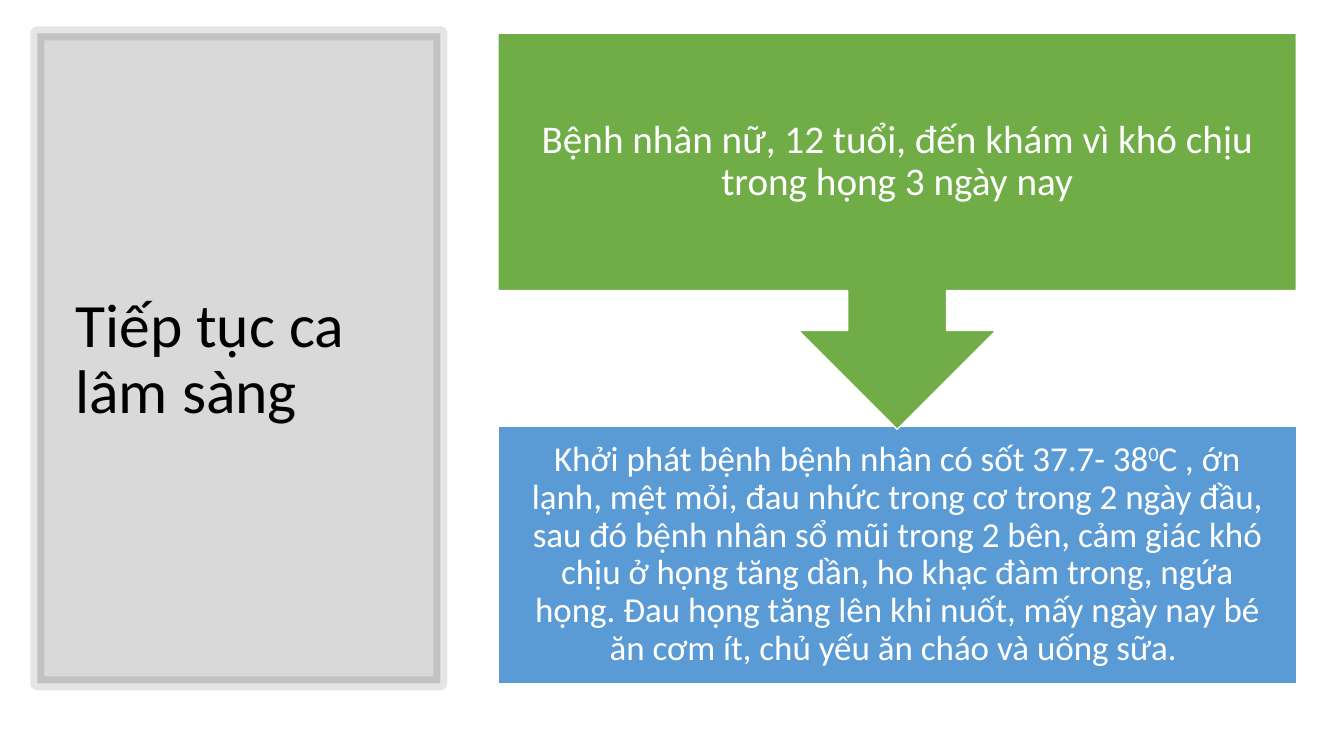
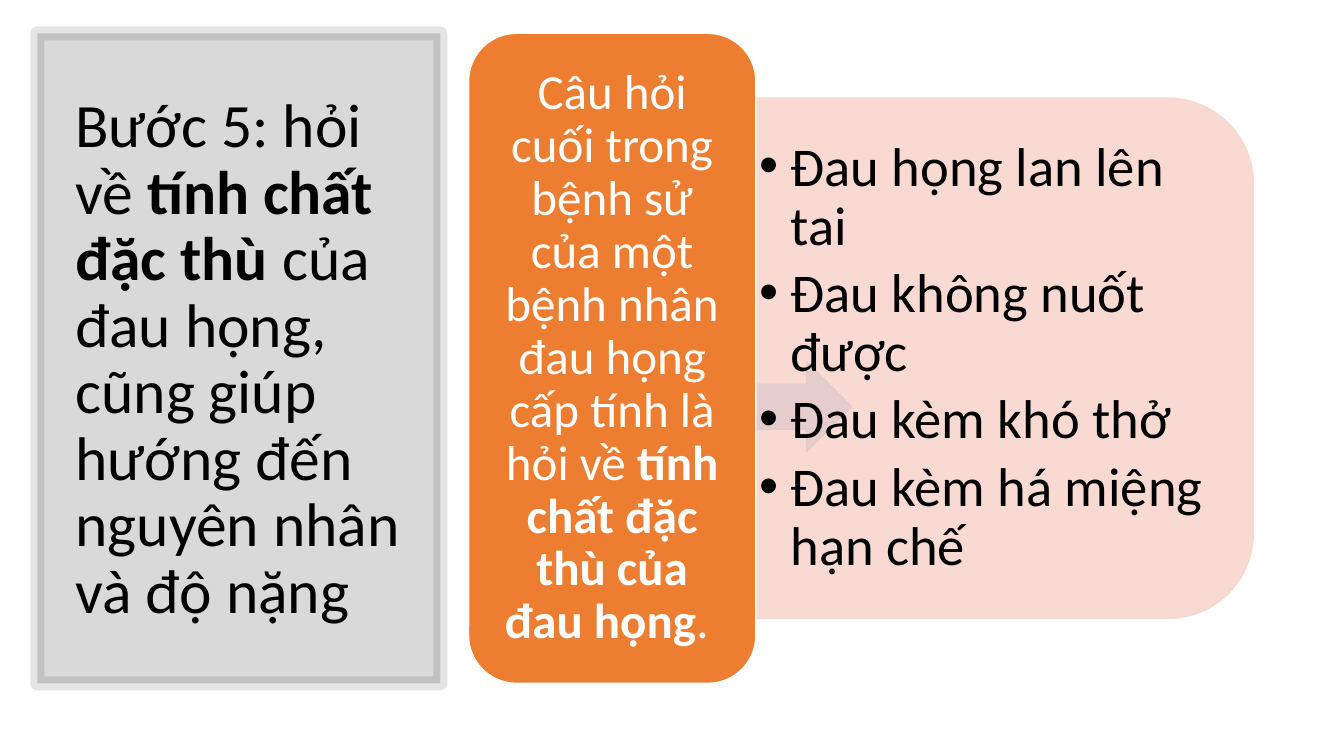
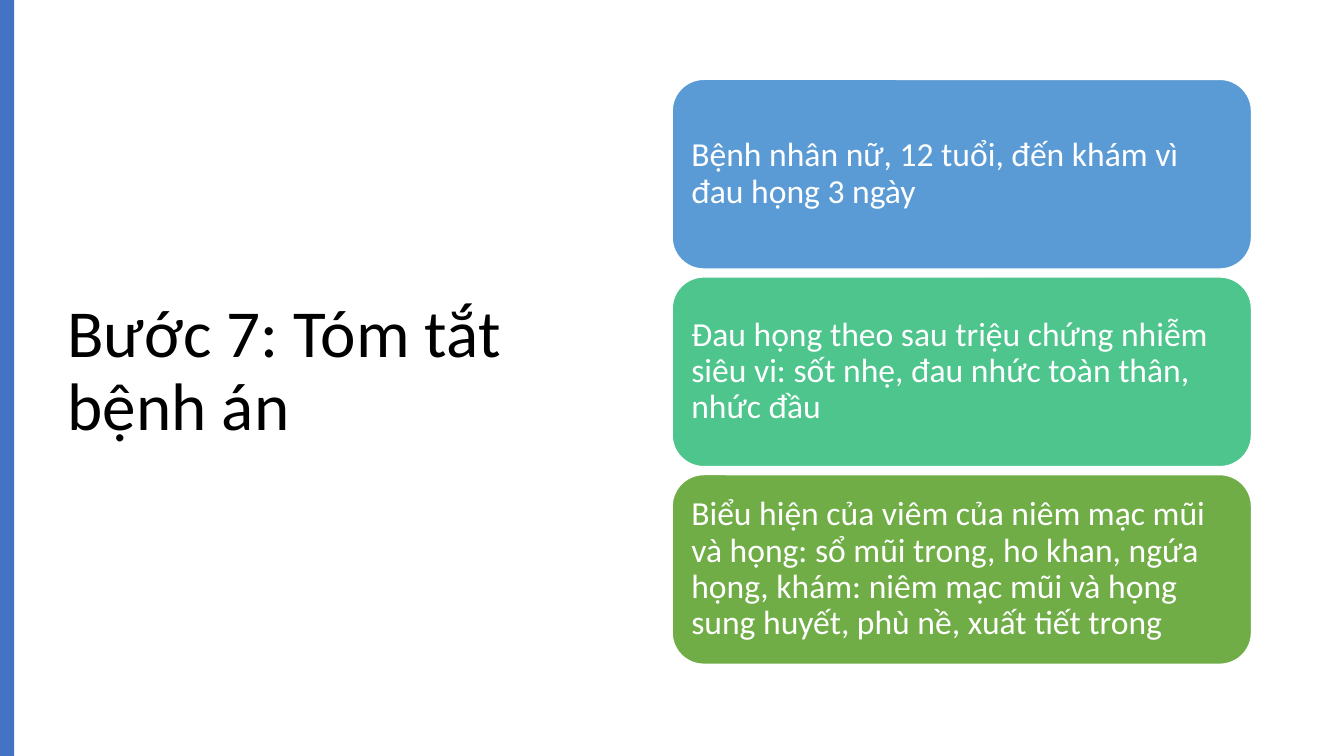
from lxml.etree import SubElement
from pptx import Presentation
from pptx.dml.color import RGBColor
from pptx.enum.shapes import MSO_SHAPE as Preset
from pptx.enum.text import MSO_ANCHOR as Anchor, MSO_AUTO_SIZE as AutoSize, PP_ALIGN as Align
from pptx.oxml.ns import qn
from pptx.util import Cm, Pt

FONT = "Calibri"
COLORS = {
    "black": "000000", "white": "FFFFFF", "green": "70AD47", "blue": "5B9BD5",
    "teal": "4DC58D", "orange": "ED7D31", "pink": "F8D7CE",
    "accent": "4472C4", "accent_dark": "325491",
}

# A paragraph is a list of (text, style) runs; style is "", "bold" or "super".
CASE_TITLE = [("Tiếp tục ca lâm sàng", "")]
CASE_COMPLAINT = [("Bệnh nhân nữ, 12 tuổi, đến khám vì khó chịu trong họng 3 ngày nay", "")]
CASE_HISTORY = [
    ("Khởi phát bệnh bệnh nhân có sốt 37.7- 38", ""),
    ("0", "super"),
    ("C , ớn lạnh, mệt mỏi, đau nhức trong cơ trong 2 ngày đầu, sau đó bệnh nhân sổ mũi "
     "trong 2 bên, cảm giác khó chịu ở họng tăng dần, ho khạc đàm trong, ngứa họng. Đau họng "
     "tăng lên khi nuốt, mấy ngày nay bé ăn cơm ít, chủ yếu ăn cháo và uống sữa. ", ""),
]
FEATURES_TITLE = [
    ("Bước 5: hỏi về ", ""),
    ("tính chất đặc thù ", "bold"),
    ("của đau họng, cũng giúp hướng đến nguyên nhân và độ nặng", ""),
]
FEATURES_QUESTION = [
    ("Câu hỏi cuối trong bệnh sử của một bệnh nhân đau họng cấp tính là hỏi về ", ""),
    ("tính chất đặc thù của đau họng", "bold"),
    (". ", ""),
]
FEATURES = [
    [("Đau họng lan lên tai", "")],
    [("Đau không nuốt được", "")],
    [("Đau kèm khó thở", "")],
    [("Đau kèm há miệng hạn chế", "")],
]
SUMMARY_TITLE = [("Bước 7: Tóm tắt bệnh án", "")]
SUMMARY_CARDS = [
    ("blue", "Bệnh nhân nữ, 12 tuổi, đến khám vì đau họng 3 ngày"),
    ("teal", "Đau họng theo sau triệu chứng nhiễm siêu vi: sốt nhẹ, đau nhức toàn thân, nhức đầu"),
    ("green", "Biểu hiện của viêm của niêm mạc mũi và họng: sổ mũi trong, ho khan, ngứa họng, "
              "khám: niêm mạc mũi và họng sung huyết, phù nề, xuất tiết trong"),
]

CONTENT_TOP, CONTENT_HEIGHT = 0.84, 16.38
PANEL_BOX = (0.94, CONTENT_TOP, 10.16, CONTENT_HEIGHT)
PANEL_TITLE_BOX = (1.65, 1.78, 8.79, 14.6)


def lengths(box):
    return [Cm(value) for value in box]


def rgb(name):
    return RGBColor.from_string(COLORS[name])


def paint(fill, color, opacity):
    fill.solid()
    fill.fore_color.rgb = rgb(color)
    if opacity < 100:
        for color_element in fill._xPr.iter(qn("a:srgbClr")):
            SubElement(color_element, qn("a:alpha"), val=str(opacity * 1000))


def add_preset(slide, preset, box, color, line="white", line_width=1,
               opacity=100, line_opacity=100):
    shape = slide.shapes.add_shape(preset, *lengths(box))
    shape.shadow.inherit = False
    paint(shape.fill, color, opacity)
    if line:
        shape.line.width = Pt(line_width)
        paint(shape.line.fill, line, line_opacity)
        for color_element in () if line_opacity == 100 else shape.line._ln.iter(qn("a:srgbClr")):
            if not len(color_element):
                SubElement(color_element, qn("a:alpha"), val=str(line_opacity * 1000))
    else:
        shape.line.fill.background()
    return shape


def add_bullet(paragraph, indent):
    properties = paragraph._p.get_or_add_pPr()
    properties.set("marL", str(Cm(indent)))
    properties.set("indent", str(-Cm(indent)))
    SubElement(properties, qn("a:buFont"), typeface="Arial")
    SubElement(properties, qn("a:buChar"), char="•")


def write(shape, paragraphs, size, color="white", align=Align.LEFT, inset=(0.25, 0.13),
          bullets=False, space_after=0):
    frame = shape.text_frame
    frame.word_wrap = True
    frame.auto_size = AutoSize.NONE
    frame.vertical_anchor = Anchor.MIDDLE
    frame.margin_left = frame.margin_right = Cm(inset[0])
    frame.margin_top = frame.margin_bottom = Cm(inset[1])
    for index, runs in enumerate(paragraphs):
        paragraph = frame.add_paragraph() if index else frame.paragraphs[0]
        paragraph.alignment = align
        paragraph.line_spacing = 0.9
        paragraph.space_after = Pt(space_after)
        if bullets:
            add_bullet(paragraph, 0.79)
        for text, style in runs:
            run = paragraph.add_run()
            run.text = text
            run.font.name = FONT
            run.font.size = Pt(size)
            run.font.bold = style == "bold"
            run.font.color.rgb = rgb(color)
            if style == "super":
                run._r.get_or_add_rPr().set("baseline", "30000")


def add_titled_slide(presentation, title, box, size):
    slide = presentation.slides.add_slide(presentation.slide_layouts[5])
    shape = slide.shapes.title
    shape.left, shape.top, shape.width, shape.height = lengths(box)
    write(shape, [title], size, color="black")
    return slide


def add_panel_slide(presentation, title):
    """Add a slide whose title stands on the grey framed panel."""
    slide = add_titled_slide(presentation, title, PANEL_TITLE_BOX, 44)
    panel = add_preset(slide, Preset.RECTANGLE, PANEL_BOX, "black", line="black",
                       line_width=10, opacity=15, line_opacity=10)
    slide.shapes.title._element.addprevious(panel._element)
    return slide


def build_case(presentation):
    slide = add_panel_slide(presentation, CASE_TITLE)
    left, width, box_height = 12.55, 20.12, 6.48
    history_top = CONTENT_TOP + CONTENT_HEIGHT - box_height
    history = add_preset(slide, Preset.RECTANGLE, (left, history_top, width, box_height), "blue")
    write(history, [CASE_HISTORY], 25, align=Align.CENTER, inset=(0.48, 0.48))
    complaint = add_preset(slide, Preset.DOWN_ARROW_CALLOUT,
                           (left, CONTENT_TOP, width, 9.98), "green")
    write(complaint, [CASE_COMPLAINT], 28, align=Align.CENTER, inset=(0.56, 0.56))


def build_features(presentation):
    slide = add_panel_slide(presentation, FEATURES_TITLE)
    add_preset(slide, Preset.RIGHT_ARROW, (17.4, 9.12, 4.06, 2.26), "accent", line="accent_dark")
    backdrop = add_preset(slide, Preset.ROUND_2_SAME_RECTANGLE, (18.59, 2.59, 13.11, 12.88),
                          "pink", line="pink", opacity=90, line_opacity=90)
    backdrop.rotation = 90
    feature_list = slide.shapes.add_textbox(*lengths((18.72, 3.1, 12.24, 11.84)))
    write(feature_list, FEATURES, 39, color="black", inset=(0.41, 0.2),
          bullets=True, space_after=6)
    question = add_preset(slide, Preset.ROUNDED_RECTANGLE,
                          (11.81, CONTENT_TOP, 7.24, CONTENT_HEIGHT), "orange")
    write(question, [FEATURES_QUESTION], 35, align=Align.CENTER, inset=(0.38, 0.18))


def build_summary(presentation):
    slide = add_titled_slide(presentation, SUMMARY_TITLE, (1.45, 1.73, 14.4, 15.29), 48)
    add_preset(slide, Preset.RECTANGLE, (0, 0, 0.36, 19.05), "accent", line=None)
    top, height, gap = 2, 4.78, 0.2
    for index, (color, text) in enumerate(SUMMARY_CARDS):
        card = add_preset(slide, Preset.ROUNDED_RECTANGLE,
                          (16.94, top + index * (height + gap), 14.6, height), color)
        write(card, [[(text, "")]], 24, inset=(0.25, 0.25))


def main():
    presentation = Presentation()
    presentation.slide_width, presentation.slide_height = Cm(33.87), Cm(19.05)
    build_case(presentation)
    build_features(presentation)
    build_summary(presentation)
    presentation.save("out.pptx")


if __name__ == "__main__":
    main()
